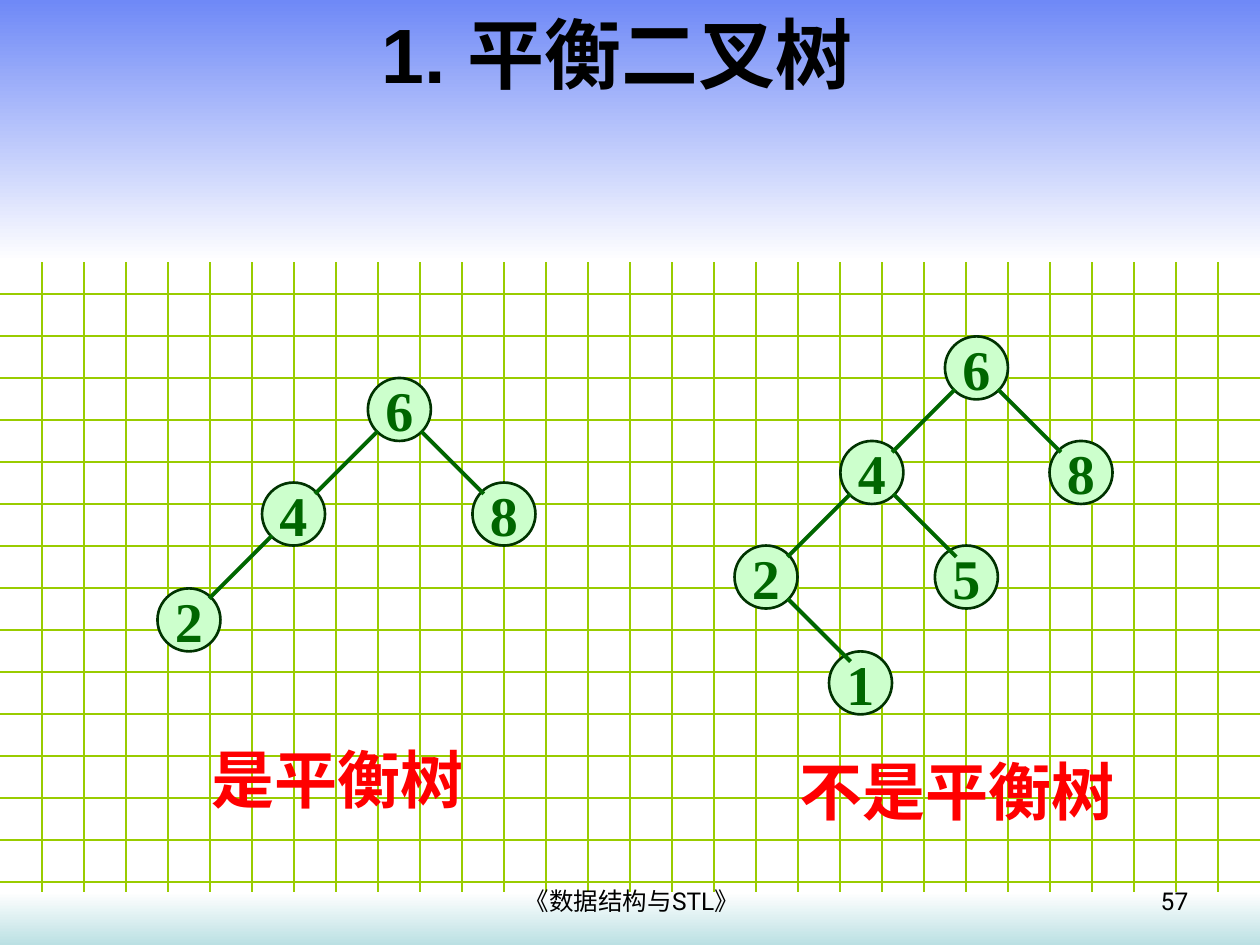
from typing import NamedTuple

from pptx import Presentation
from pptx.dml.color import RGBColor as RGB
from pptx.enum.shapes import MSO_CONNECTOR as Link, MSO_SHAPE as Kind
from pptx.enum.text import MSO_ANCHOR as Anchor, PP_ALIGN as Align
from pptx.oxml.ns import qn
from pptx.util import Inches, Pt
from lxml.etree import SubElement

COLORS = {
    "grid": "99CC00", "sky": "6F89F7", "white": "FFFFFF", "mint": "BBE0E3",
    "node": "CCFFCC", "rim": "003300", "edge": "006600",
    "red": "FF0000", "black": "000000",
}
WIDTH, HEIGHT = 10, 7.5
SIZE = 0.5   # node diameter
INSET = 0.08  # from a node's box to the end of an edge
REACH = 0.5  # edges run this far across and down
STEP = 1 / 3


class Node(NamedTuple):
    key: str
    x: float
    y: float
    sides: tuple[int, ...] = ()  # -1 for a left child, 1 for a right one


class Label(NamedTuple):
    text: str
    box: tuple[float, float, float, float]
    size: int
    font: str
    color: str = "black"
    bold: bool = False
    align: Align = Align.LEFT
    anchor: Anchor = Anchor.TOP


TREES = [
    [Node("6", 2.92, 3, (-1, 1)), Node("4", 2.08, 3.83, (-1,)),
     Node("8", 3.75, 3.83), Node("2", 1.25, 4.67)],
    [Node("6", 7.5, 2.67, (-1, 1)), Node("4", 6.67, 3.5, (-1, 1)),
     Node("8", 8.33, 3.5), Node("2", 5.83, 4.33, (1,)),
     Node("5", 7.42, 4.33), Node("1", 6.58, 5.17)],
]
LABELS = [
    Label("1. 平衡二叉树", (0, 0, 9.8, 0.84), 44, "Arial", bold=True,
          align=Align.CENTER, anchor=Anchor.MIDDLE),
    Label("是平衡树", (1.58, 5.83, 2.38, 0.7), 36, "Times New Roman", "red", True),
    Label("不是平衡树", (6.25, 5.92, 2.92, 0.7), 36, "Times New Roman", "red", True),
    Label("《数据结构与STL》", (3.43, 6.98, 3.17, 0.36), 14, "Roboto",
          align=Align.CENTER),
    Label("57", (7.2, 6.98, 2.33, 0.36), 14, "Roboto", align=Align.RIGHT),
]


def color(name: str) -> RGB:
    return RGB.from_string(COLORS[name])


def add_line(shapes, x1: float, y1: float, x2: float, y2: float,
             tint: str, width: float) -> None:
    line = shapes.add_connector(Link.STRAIGHT, Inches(x1), Inches(y1),
                                Inches(x2), Inches(y2))
    line.line.color.rgb = color(tint)
    line.line.width = Pt(width)
    SubElement(line._element.spPr, qn("a:effectLst"))


def add_grid(shapes) -> None:
    group = shapes.add_group_shape().shapes
    for row in range(1, 23):
        add_line(group, 0, row * STEP, WIDTH, row * STEP, "grid", 0.75)
    for col in range(1, 30):
        add_line(group, col * STEP, 0, col * STEP, HEIGHT, "grid", 0.75)


def add_band(shapes, top: float, height: float, start: str, end: str) -> None:
    """Draw a full-width strip that fades downwards."""
    band = shapes.add_shape(Kind.RECTANGLE, 0, Inches(top),
                            Inches(WIDTH), Inches(height))
    band.shadow.inherit = False
    band.line.fill.background()
    band.fill.gradient()
    band.fill.gradient_angle = 270
    for stop, name in zip(band.fill.gradient_stops, (start, end)):
        stop.color.rgb = color(name)


def set_text(frame, label: Label) -> None:
    frame.vertical_anchor = label.anchor
    para = frame.paragraphs[0]
    para.text = label.text
    para.alignment = label.align
    font = para.font
    font.name, font.size, font.bold = label.font, Pt(label.size), label.bold
    font.color.rgb = color(label.color)


def add_node(shapes, node: Node) -> None:
    box = (node.x, node.y, SIZE, SIZE)
    disc = shapes.add_shape(Kind.OVAL, *map(Inches, box))
    disc.shadow.inherit = False
    disc.fill.solid()
    disc.fill.fore_color.rgb = color("node")
    disc.line.color.rgb = color("rim")
    disc.line.width = Pt(1.5)
    disc.text_frame.word_wrap = False
    set_text(disc.text_frame, Label(node.key, box, 32, "Times New Roman", "edge",
                                    True, Align.CENTER, Anchor.MIDDLE))


def add_tree(shapes, tree: list[Node]) -> None:
    group = shapes.add_group_shape().shapes
    for node in tree:
        add_node(group, node)
    for node in tree:
        for side in node.sides:
            x = node.x + (INSET if side < 0 else SIZE - INSET)
            y = node.y + SIZE - INSET
            add_line(group, x, y, x + side * REACH, y + REACH, "edge", 2.25)


def add_label(shapes, label: Label) -> None:
    frame = shapes.add_textbox(*map(Inches, label.box)).text_frame
    frame.word_wrap = True
    set_text(frame, label)


def main() -> None:
    deck = Presentation()
    deck.slide_width, deck.slide_height = Inches(WIDTH), Inches(HEIGHT)
    slide = deck.slides.add_slide(deck.slide_layouts[6])
    slide.background.fill.solid()
    slide.background.fill.fore_color.rgb = color("white")
    shapes = slide.shapes
    add_grid(shapes)
    add_band(shapes, 0, 2.08, "sky", "white")
    add_band(shapes, 7.08, 0.42, "white", "mint")
    for tree in TREES:
        add_tree(shapes, tree)
    for label in LABELS:
        add_label(shapes, label)
    deck.save("out.pptx")


if __name__ == "__main__":
    main()
